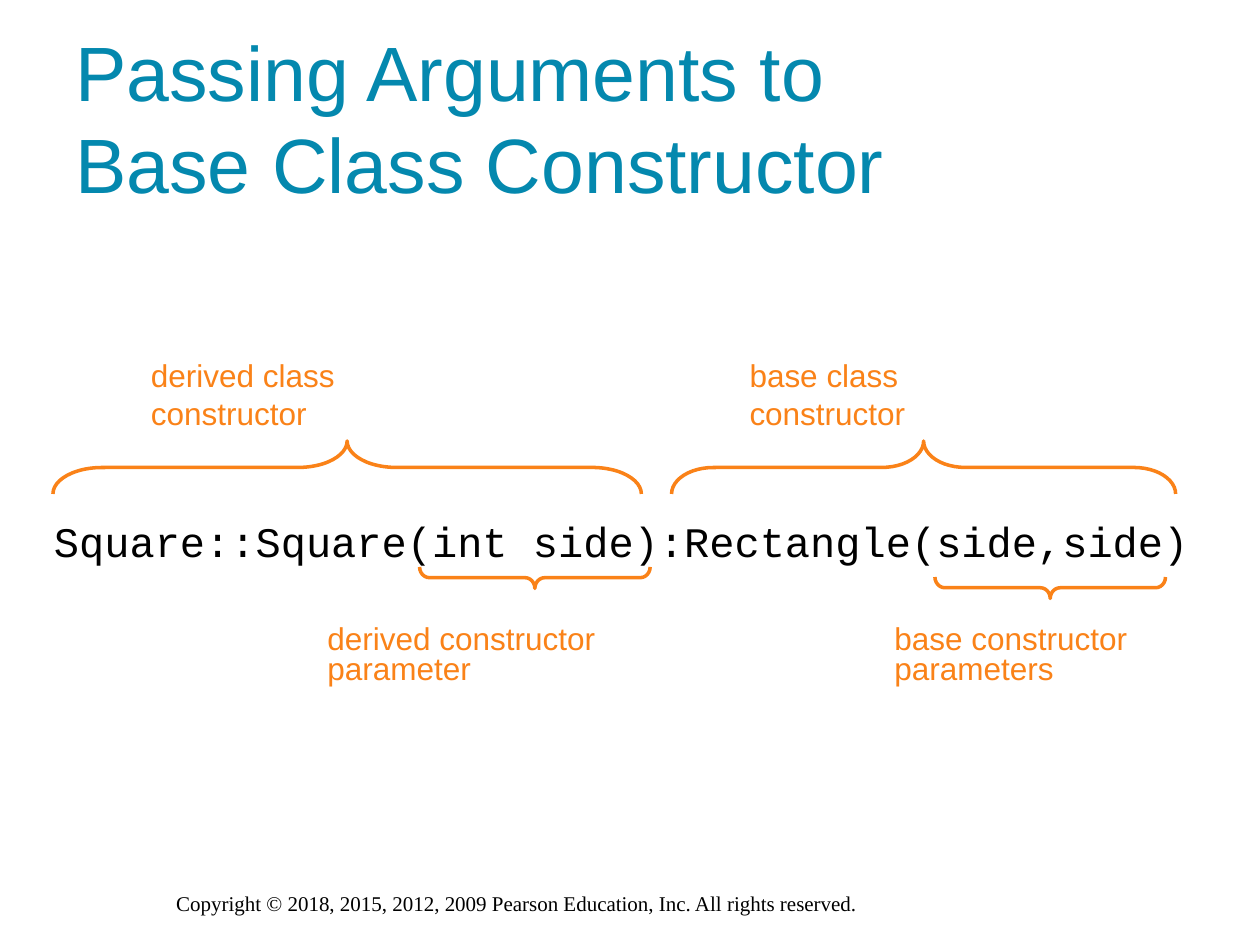
from pptx import Presentation
from pptx import util as u
from pptx.dml.color import RGBColor
from pptx.enum import shapes, text

TEAL = RGBColor(0x04, 0x88, 0xAE)
ORANGE = RGBColor(0xFA, 0x82, 0x18)
BLACK = RGBColor(0, 0, 0)

TITLE = "Passing Arguments to\vBase Class Constructor"
CODE = "Square::Square(int side):Rectangle(side,side)"
RIGHTS = "Copyright © 2018, 2015, 2012, 2009 Pearson Education, Inc. All rights reserved."
LABELS = [
    ("derived class constructor", (1.1, 2.78, 2.96, 0.4), False, 1),
    ("base class constructor", (5.85, 2.78, 2.68, 0.4), False, 1),
    ("derived constructor parameter", (2.5, 4.92, 3.33, 0.58), True, 0.8),
    ("base constructor parameters", (7, 4.92, 2.75, 0.58), True, 0.8),
]
UP = shapes.MSO_SHAPE.LEFT_BRACE
DOWN = shapes.MSO_SHAPE.RIGHT_BRACE
BRACES = [
    (UP, 0.42, 3.5, 4.67, 0.42, 0.93),
    (UP, 5.33, 3.5, 4, 0.42, 0.79),
    (DOWN, 7.42, 4.58, 1.83, 0.17, 0.46),
    (DOWN, 3.33, 4.5, 1.83, 0.17, 0.46),
]

deck = Presentation()
deck.slide_width, deck.slide_height = u.Inches(10), u.Inches(7.5)
slide = deck.slides.add_slide(deck.slide_layouts[6])


def write(words, box, size=18, font="Arial", color=ORANGE, wrap=True,
          space=1, anchor=text.MSO_ANCHOR.TOP):
    frame = slide.shapes.add_textbox(*map(u.Inches, box)).text_frame
    frame.word_wrap = wrap
    frame.vertical_anchor = anchor
    para = frame.paragraphs[0]
    para.text = words
    para.line_spacing = space
    for run in para.runs:
        run.font.size = u.Pt(size)
        run.font.name = font
        run.font.color.rgb = color


def brace(kind, left, top, wide, high, bend):
    x = left + (wide - high) / 2
    y = top + (high - wide) / 2
    mark = slide.shapes.add_shape(kind, *map(u.Inches, (x, y, high, wide)))
    mark.rotation = 90
    mark.adjustments[0] = bend
    mark.shadow.inherit = False
    mark.fill.background()
    mark.line.color.rgb = ORANGE
    mark.line.width = u.Pt(2)


write(RIGHTS, (1.3, 7.02, 7.42, 0.3), size=12, font="Times New Roman", color=BLACK)
write(TITLE, (0.5, 0.3, 9, 1.25), size=44, color=TEAL, anchor=text.MSO_ANCHOR.MIDDLE)
write(CODE, (0.33, 4.04, 9.33, 0.5), size=24, font="Courier New", color=BLACK)
for item in BRACES:
    brace(*item)
for words, box, wrap, space in LABELS:
    write(words, box, wrap=wrap, space=space)

deck.save("out.pptx")
